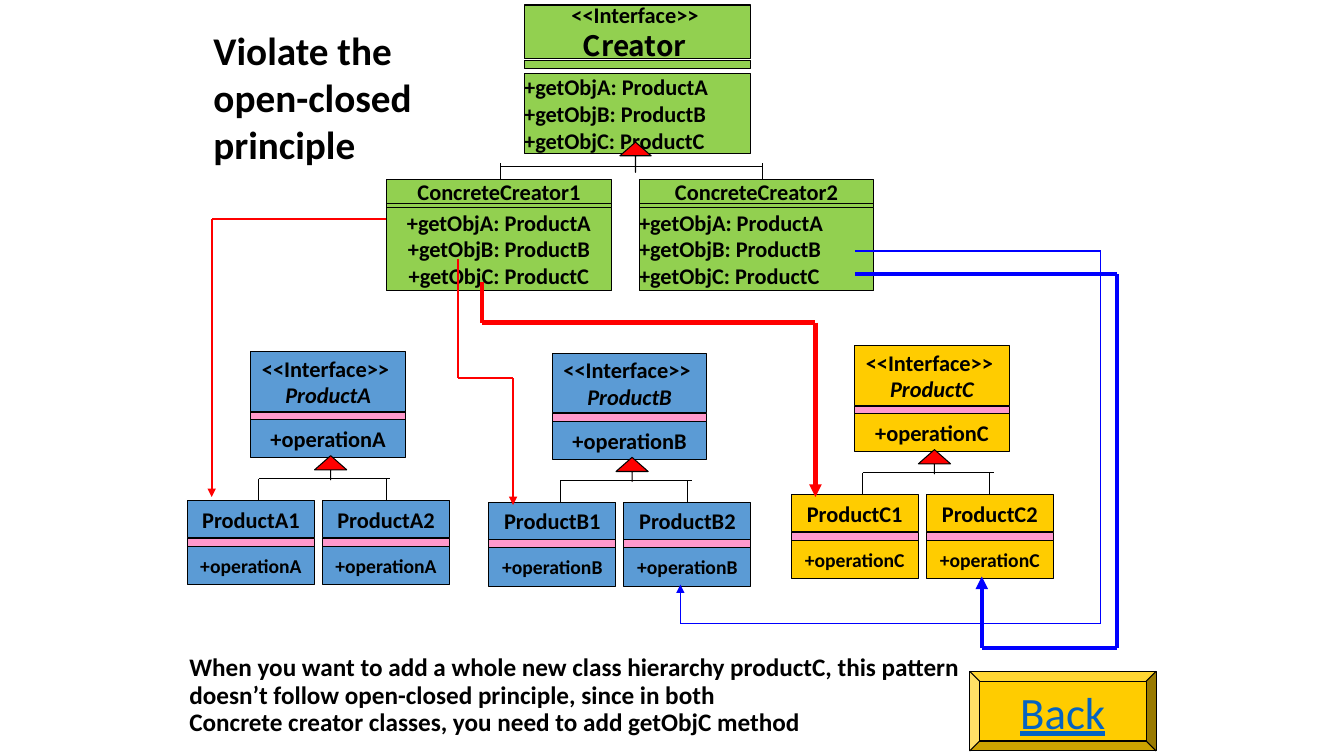
from dataclasses import dataclass
from typing import NamedTuple

from pptx import Presentation
from pptx.dml.color import RGBColor
from pptx.enum.shapes import MSO_CONNECTOR, MSO_SHAPE
from pptx.enum.text import MSO_ANCHOR, MSO_AUTO_SIZE, PP_ALIGN
from pptx.oxml.ns import qn
from pptx.shapes.autoshape import Shape
from pptx.shapes.connector import Connector
from pptx.slide import Slide
from pptx.util import Pt
from lxml.etree import SubElement

BLACK = RGBColor(0x00, 0x00, 0x00)
GREEN = RGBColor(0x92, 0xD0, 0x50)
SKY = RGBColor(0x5B, 0x9B, 0xD5)
AMBER = RGBColor(0xFF, 0xCC, 0x00)
PINK = RGBColor(0xFF, 0x99, 0xCC)
RED = RGBColor(0xFF, 0x00, 0x00)
BLUE = RGBColor(0x00, 0x00, 0xFF)
LINK = RGBColor(0x05, 0x63, 0xC1)

STRIP_H = 5.7
GETTERS = "\n".join(f"+getObj{c}: Product{c}" for c in "ABC")


class Layout(NamedTuple):
    """Compartment offsets and heights, measured from the class top."""
    name_h: float
    strip_y: float
    ops_y: float
    ops_h: float


CREATOR = Layout(38.2, 39.6, 49, 56.9)
CONCRETE_CREATOR = Layout(17.3, 17.3, 19.8, 59.8)
PRODUCT = Layout(42.5, 43, 48.3, 27.4)
CONCRETE_PRODUCT = Layout(26.6, 26.8, 32.5, 27.4)


@dataclass
class UmlClass:
    x: float
    y: float
    w: float
    layout: Layout
    name: str
    ops: str
    fill: RGBColor
    strip: RGBColor
    ops_size: float = 16
    ops_align: PP_ALIGN = PP_ALIGN.CENTER


@dataclass
class Family:
    letter: str
    x: float
    y: float
    fill: RGBColor


@dataclass
class Route:
    points: list[tuple[float, float]]
    color: RGBColor
    width: float


FAMILIES = [
    Family("A", 179.3, 251.3, SKY),
    Family("B", 394.6, 252.5, SKY),
    Family("C", 610.6, 247, AMBER),
]

ROUTES = [
    Route([(275.8, 156.2), (151.2, 156.2), (151.2, 355)], RED, 1.5),
    Route([(326.9, 185), (326.9, 270), (366.5, 270), (366.5, 360.7)], RED, 1.5),
    Route([(344.2, 201.6), (344.2, 230.4), (582.5, 230.4), (582.5, 355)], RED, 3),
    Route([(610.6, 179.3), (786.2, 179.3), (786.2, 445.7), (486, 445.7),
           (486, 417.6)], BLUE, 0.75),
    Route([(610.6, 195.8), (798, 195.8), (798, 463), (701.3, 463),
           (701.3, 411.8)], BLUE, 3),
]


def style_text(s: Shape, text: str, size: float, align: PP_ALIGN) -> None:
    tf = s.text_frame
    tf.text = text
    for p in tf.paragraphs:
        p.alignment = align
        for r in p.runs:
            r.font.name = "Calibri"
            r.font.size = Pt(size)
            r.font.bold = True
            r.font.color.rgb = BLACK


def add_block(slide: Slide, kind: MSO_SHAPE, x: float, y: float, w: float, h: float,
              fill: RGBColor) -> Shape:
    s = slide.shapes.add_shape(kind, Pt(x), Pt(y), Pt(w), Pt(h))
    s.shadow.inherit = False
    s.fill.solid()
    s.fill.fore_color.rgb = fill
    s.line.color.rgb = BLACK
    s.line.width = Pt(0.75)
    return s


def add_compartment(slide: Slide, x: float, y: float, w: float, h: float, fill: RGBColor,
                    text: str, size: float = 16,
                    align: PP_ALIGN = PP_ALIGN.CENTER) -> Shape:
    s = add_block(slide, MSO_SHAPE.RECTANGLE, x, y, w, h, fill)
    tf = s.text_frame
    tf.word_wrap = False
    tf.vertical_anchor = MSO_ANCHOR.MIDDLE
    tf.margin_left = tf.margin_right = tf.margin_top = tf.margin_bottom = 0
    style_text(s, text, size, align)
    return s


def add_class(slide: Slide, c: UmlClass) -> tuple[Shape, Shape]:
    """Draw the three compartments; return the name and operations ones."""
    lay = c.layout
    name = add_compartment(slide, c.x, c.y, c.w, lay.name_h, c.fill, c.name)
    add_block(slide, MSO_SHAPE.RECTANGLE, c.x, c.y + lay.strip_y, c.w, STRIP_H, c.strip)
    ops = add_compartment(slide, c.x, c.y + lay.ops_y, c.w, lay.ops_h, c.fill,
                          c.ops, c.ops_size, c.ops_align)
    return name, ops


def add_line(slide: Slide, start: tuple[float, float], end: tuple[float, float],
             color: RGBColor = BLACK, width: float = 0.75) -> Connector:
    s = slide.shapes.add_connector(MSO_CONNECTOR.STRAIGHT, Pt(start[0]), Pt(start[1]),
                                   Pt(end[0]), Pt(end[1]))
    s.line.color.rgb = color
    s.line.width = Pt(width)
    SubElement(s._element.spPr, qn("a:effectLst"))
    return s


def add_route(slide: Slide, route: Route) -> Connector:
    """Draw the legs of a route; return the last one, which has the arrowhead."""
    for start, end in zip(route.points, route.points[1:]):
        s = add_line(slide, start, end, route.color, route.width)
    SubElement(s.line._get_or_add_ln(), qn("a:tailEnd"), type="triangle")
    return s


def add_tree(slide: Slide, left: float, right: float, y: float, top: float,
             bottom: float, overhang: float = 0) -> None:
    add_line(slide, (left, y), (right + overhang, y))
    for x in (left, right):
        add_line(slide, (x, top), (x, bottom))


def add_inheritance(slide: Slide, x: float, y: float, w: float, h: float,
                    head: float) -> None:
    s = add_block(slide, MSO_SHAPE.UP_ARROW, x, y, w, h, RED)
    s.adjustments[0] = 0
    s.adjustments[1] = head


def add_creators(slide: Slide) -> None:
    add_tree(slide, 357.8, 545, 118.8, 116.6, 139.7)
    name, _ = add_class(slide, UmlClass(
        374.4, 3.6, 162, CREATOR, "<<Interface>> \nCreator ", GETTERS, GREEN, GREEN,
        ops_align=PP_ALIGN.LEFT))
    font = name.text_frame.paragraphs[1].runs[0].font
    font.name = "Noto Sans CJK SC"
    font.size = Pt(20)
    for number, x, w, align in ((1, 275.8, 161.3, PP_ALIGN.CENTER),
                                (2, 456.5, 167.8, PP_ALIGN.LEFT)):
        add_class(slide, UmlClass(x, 128.2, w, CONCRETE_CREATOR,
                                  f"ConcreteCreator{number}", GETTERS, GREEN, GREEN,
                                  ops_align=align))
    add_inheritance(slide, 442.8, 101.5, 22.3, 21.6, 0.454)


def add_family(slide: Slide, f: Family) -> Shape:
    """Draw a product hierarchy; return the second child's operations."""
    operation = f"+operation{f.letter}"
    name, _ = add_class(slide, UmlClass(
        f.x, f.y, 110.2, PRODUCT, f"<<Interface>> \nProduct{f.letter}", operation,
        f.fill, PINK))
    name.text_frame.paragraphs[1].runs[0].font.italic = True
    tree_y = f.y + 90.7
    add_tree(slide, f.x + 5.5, f.x + 96.5, tree_y, tree_y, tree_y + 23, overhang=2.9)
    for i in range(2):
        _, ops = add_class(slide, UmlClass(
            f.x - 45.4 + 96.5 * i, f.y + 106.3, 90.7, CONCRETE_PRODUCT,
            f"Product{f.letter}{i + 1}", operation, f.fill, PINK, ops_size=14))
    add_inheritance(slide, f.x + 45.4, f.y + 74.2, 23, 17.3, 0.586)
    return ops


def add_caption(slide: Slide, x: float, y: float, w: float, h: float, text: str,
                size: float, spacing: float = 1.0) -> None:
    s = slide.shapes.add_textbox(Pt(x), Pt(y), Pt(w), Pt(h))
    s.text_frame.word_wrap = True
    s.text_frame.auto_size = MSO_AUTO_SIZE.SHAPE_TO_FIT_TEXT
    style_text(s, text, size, PP_ALIGN.LEFT)
    for p in s.text_frame.paragraphs:
        p.line_spacing = spacing


def add_back_button(slide: Slide) -> None:
    s = add_block(slide, MSO_SHAPE.BEVEL, 692.6, 479.5, 133.2, 56.9, AMBER)
    s.adjustments[0] = 0.125
    s.text_frame.word_wrap = False
    s.text_frame.vertical_anchor = MSO_ANCHOR.MIDDLE
    style_text(s, "Back", 32, PP_ALIGN.CENTER)
    font = s.text_frame.paragraphs[0].runs[0].font
    font.bold = False
    font.underline = True
    font.color.rgb = LINK


def main() -> None:
    prs = Presentation()
    prs.slide_width, prs.slide_height = Pt(960), Pt(540)
    slide = prs.slides.add_slide(prs.slide_layouts[6])
    add_creators(slide)
    product_a2, product_b2, product_c2 = [add_family(slide, f) for f in FAMILIES]
    for route in ROUTES[:3]:
        add_route(slide, route)
    add_route(slide, ROUTES[3])
    add_route(slide, ROUTES[4])
    add_caption(slide, 128.2, 464.4, 578.2, 65.5,
                "When you want to add a whole new class hierarchy productC, this pattern "
                "doesn’t follow open-closed principle, since in both\n"
                "Concrete creator classes, you need to add getObjC method", 18, 0.9)
    add_back_button(slide)
    add_caption(slide, 145.4, 15.1, 181.4, 108, "Violate the open-closed principle", 28)
    prs.save("out.pptx")


if __name__ == "__main__":
    main()
